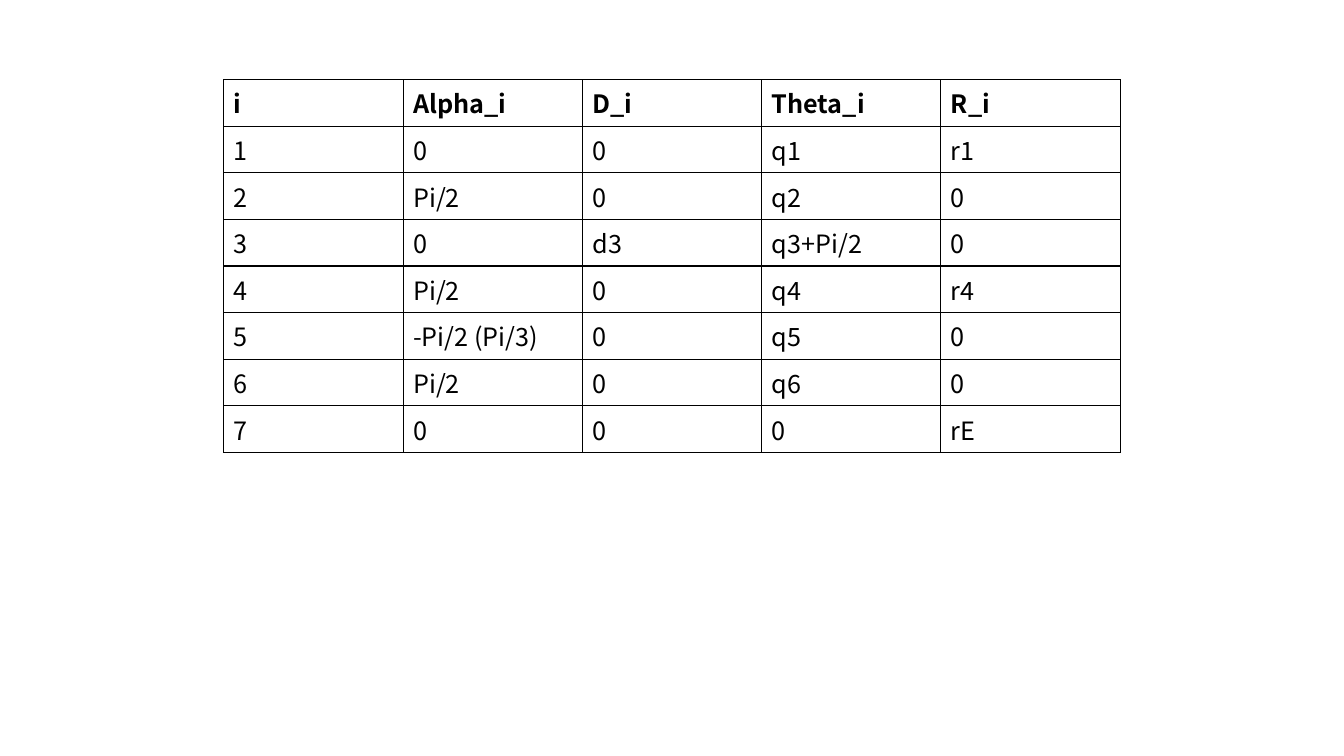
"""Build a slide with a table of robot joint parameters."""
from typing import NamedTuple

from lxml import etree
from pptx import Presentation
from pptx.dml.color import RGBColor
from pptx.oxml.ns import qn
from pptx.table import _Cell
from pptx.util import Inches, Pt

COLORS = {"ink": "000000", "paper": "FFFFFF"}
FONT = "Noto Sans CJK SC"
SIDES = ("a:lnL", "a:lnR", "a:lnT", "a:lnB")
LEFT, TOP, WIDTH, HEIGHT = 2.22, 0.79, 8.89, 3.24
HEAD, FIRST, REST = 0.41, 0.37, 0.41


class Joint(NamedTuple):
    index: str
    alpha: str
    dist: str
    theta: str
    radius: str


JOINTS = (
    Joint("i", "Alpha_i", "D_i", "Theta_i", "R_i"),
    Joint("1", "0", "0", "q1", "r1"),
    Joint("2", "Pi/2", "0", "q2", "0"),
    Joint("3", "0", "d3", "q3+Pi/2", "0"),
    Joint("4", "Pi/2", "0", "q4", "r4"),
    Joint("5", "-Pi/2 (Pi/3)", "0", "q5", "0"),
    Joint("6", "Pi/2", "0", "q6", "0"),
    Joint("7", "0", "0", "0", "rE"),
)


def write(cell: _Cell, text: str, *, size: float = 18, bold: bool = False,
          color: str = "ink") -> None:
    run = cell.text_frame.paragraphs[0].add_run()
    run.text = text
    font = run.font
    font.name, font.size, font.bold = FONT, Pt(size), bold
    font.color.rgb = RGBColor.from_string(COLORS[color])


def frame(cell: _Cell, width: float = 1) -> None:
    props = cell._tc.get_or_add_tcPr()
    for side in SIDES:
        line = etree.SubElement(props, qn(side), w=str(Pt(width)))
        fill = etree.SubElement(line, qn("a:solidFill"))
        etree.SubElement(fill, qn("a:srgbClr"), val=COLORS["ink"])
    cell.fill.solid()
    cell.fill.fore_color.rgb = RGBColor.from_string(COLORS["paper"])


def main() -> None:
    deck = Presentation()
    deck.slide_width, deck.slide_height = Inches(13.33), Inches(7.5)
    slide = deck.slides.add_slide(deck.slide_layouts[6])
    count = len(Joint._fields)
    table = slide.shapes.add_table(
        len(JOINTS), count, Inches(LEFT), Inches(TOP),
        Inches(WIDTH), Inches(HEIGHT)).table
    for col in table.columns:
        col.width = Inches(WIDTH / count)
    for row, joint in enumerate(JOINTS):
        table.rows[row].height = Inches({0: HEAD, 1: FIRST}.get(row, REST))
        for col, text in enumerate(joint):
            cell = table.cell(row, col)
            write(cell, text, bold=row == 0)
            frame(cell)
    deck.save("out.pptx")


if __name__ == "__main__":
    main()
